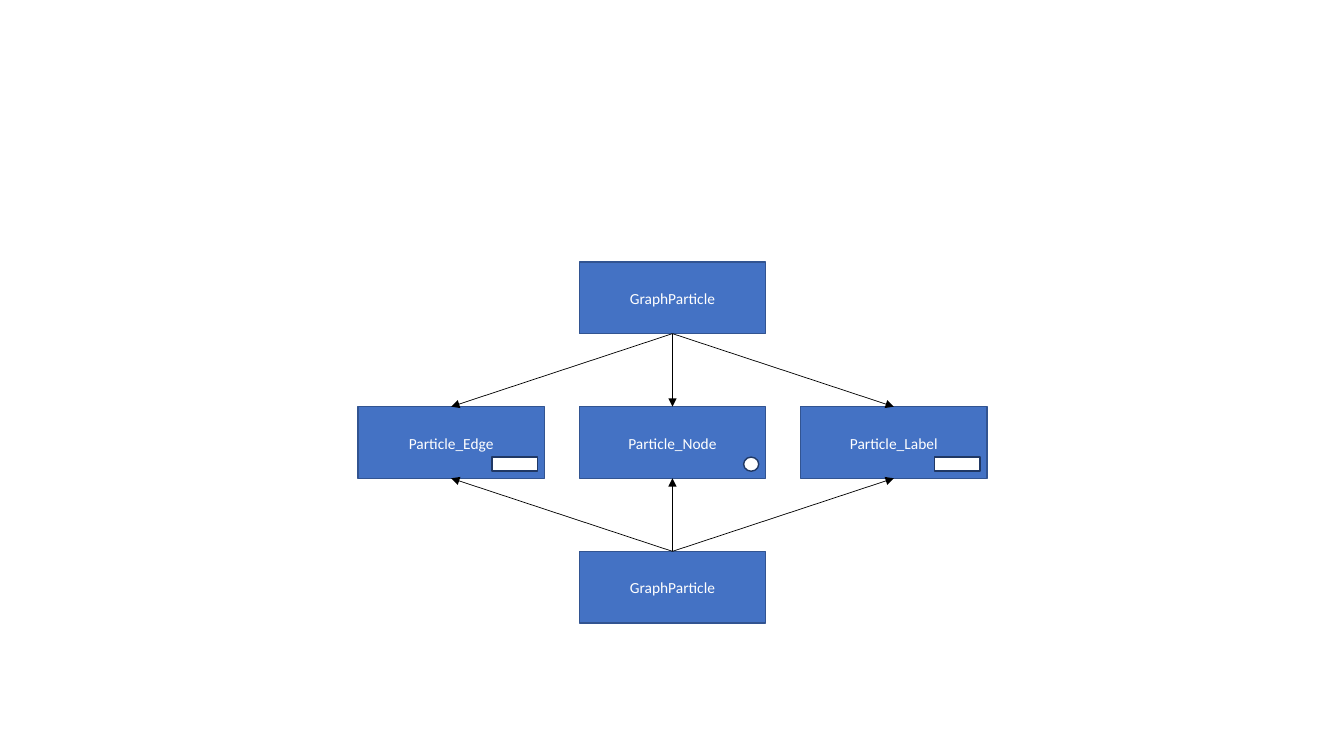
"""Build a slide showing how GraphParticle relates to its particle types."""
import pptx
import pptx.dml.color
import pptx.enum.shapes
import pptx.enum.text
import pptx.oxml
import pptx.oxml.ns
import pptx.util

Inches = pptx.util.Inches
Pt = pptx.util.Pt
Shape = pptx.enum.shapes.MSO_SHAPE

BLUE = pptx.dml.color.RGBColor(0x44, 0x72, 0xC4)
BLUE_EDGE = pptx.dml.color.RGBColor(0x32, 0x54, 0x91)
NAVY = pptx.dml.color.RGBColor(0x20, 0x38, 0x64)
WHITE = pptx.dml.color.RGBColor(0xFF, 0xFF, 0xFF)
BLACK = pptx.dml.color.RGBColor(0, 0, 0)

BOX_WIDTH, BOX_HEIGHT = Inches(1.85), Inches(0.71)
ICON_HEIGHT, ICON_INSET = Inches(0.14), Inches(0.07)
TOP_SITE, BOTTOM_SITE = 0, 2
PARTICLES = [
    ("Particle_Edge", Shape.RECTANGLE, Inches(0.45)),
    ("Particle_Node", Shape.OVAL, Inches(0.15)),
    ("Particle_Label", Shape.RECTANGLE, Inches(0.45)),
]


def add_filled_shape(page, kind, left, top, width, height, fill, line):
    """Add a flat shape with a one-point outline."""
    shape = page.shapes.add_shape(kind, left, top, width, height)
    shape.shadow.inherit = False
    shape.fill.solid()
    shape.fill.fore_color.rgb = fill
    shape.line.color.rgb = line
    shape.line.width = Pt(1)
    return shape


def add_class_box(page, left, top, name):
    """Add a blue box with a centred class name."""
    box = add_filled_shape(page, Shape.RECTANGLE, left, top, BOX_WIDTH, BOX_HEIGHT, BLUE, BLUE_EDGE)
    box.text_frame.word_wrap = True
    box.text_frame.vertical_anchor = pptx.enum.text.MSO_ANCHOR.MIDDLE
    para = box.text_frame.paragraphs[0]
    para.alignment = pptx.enum.text.PP_ALIGN.CENTER
    para.line_spacing = 1.07
    para.space_after = Pt(8)
    span = para.add_run()
    span.text = name
    span.font.name = "Calibri"
    span.font.size = Pt(11)
    span.font.color.rgb = WHITE
    return box


def add_icon(page, box, kind, width):
    """Add a small white symbol in the lower right corner of a box."""
    left = box.left + box.width - ICON_INSET - width
    top = box.top + box.height - ICON_INSET - ICON_HEIGHT
    add_filled_shape(page, kind, left, top, width, ICON_HEIGHT, WHITE, NAVY)


def add_arrow(page, source, source_site, target, target_site):
    """Join two boxes with a thin arrow."""
    arrow = page.shapes.add_connector(pptx.enum.shapes.MSO_CONNECTOR.STRAIGHT, 0, 0, 0, 0)
    arrow.begin_connect(source, source_site)
    arrow.end_connect(target, target_site)
    arrow.line.color.rgb = BLACK
    arrow.line.width = Pt(0.5)
    head = pptx.oxml.parse_xml(f'<a:tailEnd {pptx.oxml.ns.nsdecls("a")} type="triangle"/>')
    arrow.line._get_or_add_ln().append(head)
    effects = pptx.oxml.parse_xml(f'<a:effectLst {pptx.oxml.ns.nsdecls("a")}/>')
    arrow._element.spPr.append(effects)


def add_particle_diagram(page, left, top, width, height):
    """Place the particle row between two GraphParticle boxes within an area."""
    column_step = (width - BOX_WIDTH) // 2
    row_step = (height - BOX_HEIGHT) // 2
    centre = left + column_step
    upper = add_class_box(page, centre, top, "GraphParticle")
    lower = add_class_box(page, centre, top + 2 * row_step, "GraphParticle")
    for column, (name, icon, icon_width) in enumerate(PARTICLES):
        box = add_class_box(page, left + column * column_step, top + row_step, name)
        add_icon(page, box, icon, icon_width)
        add_arrow(page, upper, BOTTOM_SITE, box, TOP_SITE)
        add_arrow(page, lower, TOP_SITE, box, BOTTOM_SITE)


def main():
    """Build and save the deck."""
    deck = pptx.Presentation()
    deck.slide_width, deck.slide_height = Inches(13.33), Inches(7.5)
    page = deck.slides.add_slide(deck.slide_layouts[6])
    add_particle_diagram(page, Inches(3.55), Inches(2.6), Inches(6.24), Inches(3.58))
    deck.save("out.pptx")


main()
